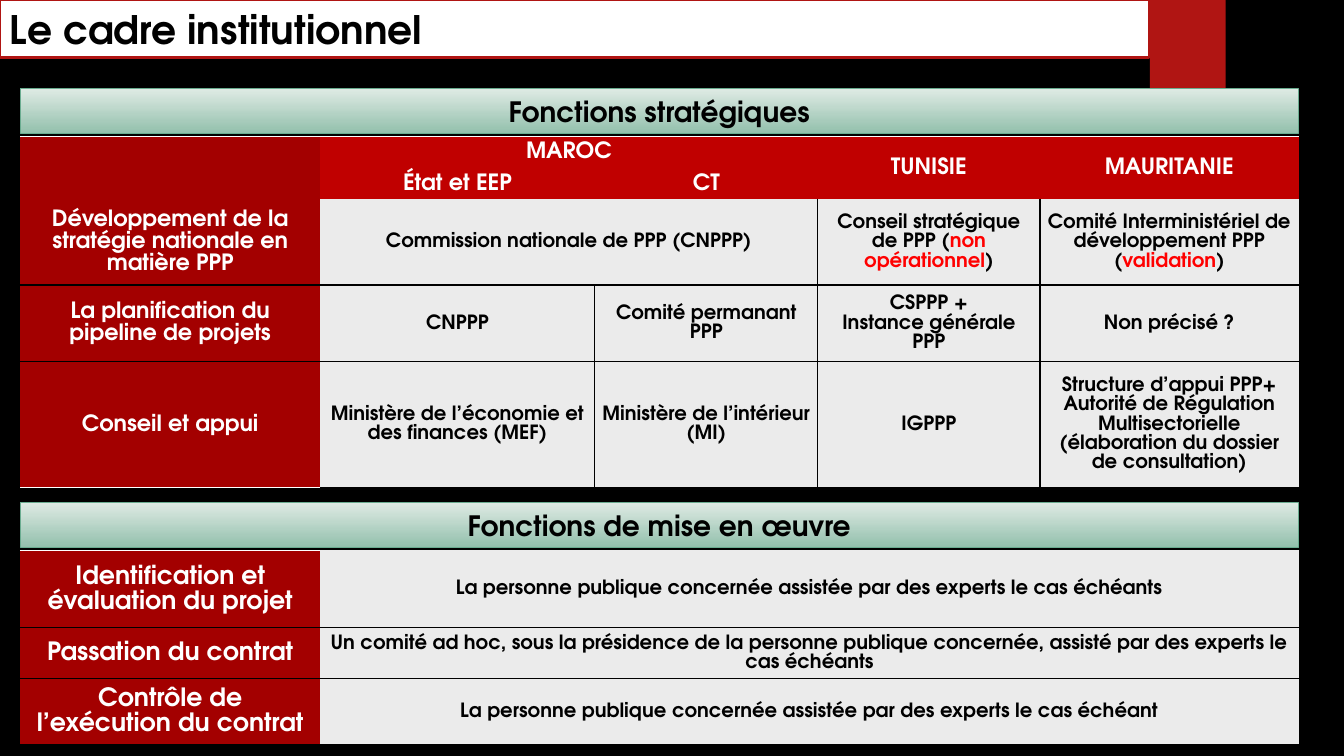
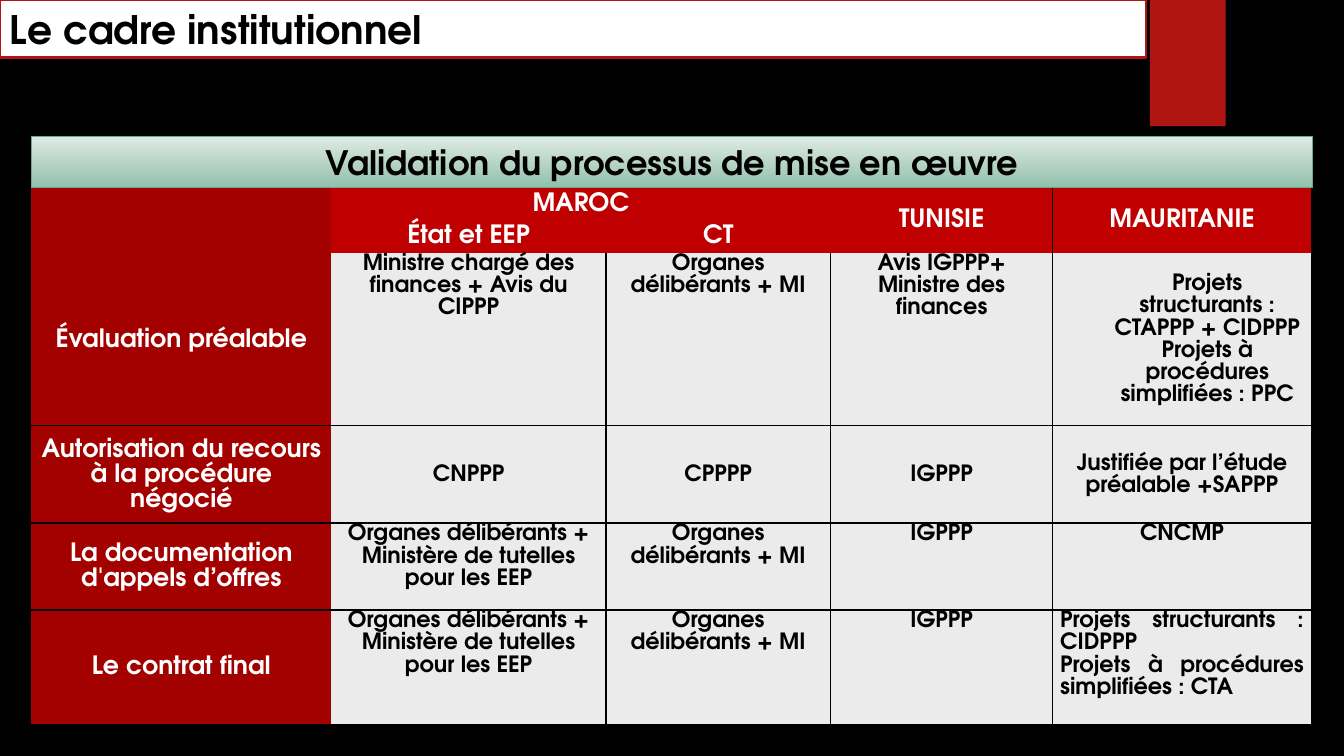
from lxml import etree
from pptx import Presentation
from pptx import util as u
from pptx.dml.color import RGBColor
from pptx.enum import shapes, text
from pptx.oxml import ns

BLACK, WHITE, RED = "000000", "FFFFFF", "FF0000"
BAR_RED, LABEL_RED, HEADER_RED, CELL_GREY = "B01513", "A30000", "C00000", "EBEBEB"
BAND_TOP, BAND_BOTTOM, BAND_LINE = "DEEAE4", "93C0AC", "6AAC90"
FONT = "TeX Gyre Adventor"
CENTER, LEFT, JUSTIFY = text.PP_ALIGN.CENTER, text.PP_ALIGN.LEFT, text.PP_ALIGN.JUSTIFY
MIDDLE, TOP = text.MSO_ANCHOR.MIDDLE, text.MSO_ANCHOR.TOP

# Country headings shared by the comparison tables; None marks merged cells
COUNTRY_HEADER = [
    ["", "MAROC", None, "TUNISIE", "MAURITANIE"],
    [None, "État et EEP", "CT", None, None],
]
COUNTRY_MERGES = [(0, 0, 1, 0), (0, 1, 0, 2), (0, 3, 1, 3), (0, 4, 1, 4)]


def color(value):
    return RGBColor.from_string(value)


def write(frame, content, size, fill=BLACK, align=CENTER, spacing=None):
    """Content is a string or a list of (text, colour) runs; newlines split paragraphs."""
    runs = [(content, fill)] if isinstance(content, str) else content
    paragraph = None
    for words, run_fill in runs:
        for number, part in enumerate(words.split("\n")):
            if paragraph is None:
                paragraph = frame.paragraphs[0]
            elif number:
                paragraph = frame.add_paragraph()
            paragraph.alignment = align
            if spacing:
                paragraph.line_spacing = spacing
            run = paragraph.add_run()
            run.text = part
            run.font.name, run.font.size, run.font.bold = FONT, u.Pt(size), True
            run.font.color.rgb = color(run_fill)


def set_border(cell, side, line_color):
    properties = cell._tc.get_or_add_tcPr()
    line = etree.SubElement(properties, ns.qn(f"a:ln{side}"), w=str(u.Pt(1)))
    if line_color is None:
        etree.SubElement(line, ns.qn("a:noFill"))
    else:
        fill = etree.SubElement(line, ns.qn("a:solidFill"))
        etree.SubElement(fill, ns.qn("a:srgbClr"), val=line_color)


class Deck:
    def __init__(self):
        self.presentation = Presentation()
        self.presentation.slide_width = u.Cm(33.87)
        self.presentation.slide_height = u.Cm(19.05)
        self.slide = None

    def new_slide(self, title, title_width):
        self.slide = self.presentation.slides.add_slide(self.presentation.slide_layouts[6])
        background = self.slide.background.fill
        background.solid()
        background.fore_color.rgb = color(BLACK)
        self.box(28.98, 0, 1.91, 3.18, BAR_RED)
        title_box = self.box(0, 0, title_width, 1.45, WHITE, BAR_RED, 1.5)
        write(title_box.text_frame, title, 28, align=LEFT)

    def box(self, left, top, width, height, fill, line=None, line_width=1):
        shape = self.slide.shapes.add_shape(
            shapes.MSO_SHAPE.RECTANGLE, u.Cm(left), u.Cm(top), u.Cm(width), u.Cm(height))
        shape.shadow.inherit = False
        shape.fill.solid()
        shape.fill.fore_color.rgb = color(fill)
        if line:
            shape.line.color.rgb = color(line)
            shape.line.width = u.Pt(line_width)
        else:
            shape.line.fill.background()
        shape.text_frame.word_wrap = True
        shape.text_frame.vertical_anchor = MIDDLE
        return shape

    def band(self, left, top, width, height, title, size):
        shape = self.box(left, top, width, height, BAND_TOP, BAND_LINE, 0.75)
        shape.fill.gradient()
        shape.fill.gradient_angle = 270
        for stop, value in zip(shape.fill.gradient_stops, (BAND_TOP, BAND_BOTTOM)):
            stop.color.rgb = color(value)
        write(shape.text_frame, title, size)

    def table(self, left, top, columns, heights, rows, label_size, body_size,
              headers=0, merges=(), header_rules=(), top_rows=(), label_bottom=None):
        table = self.slide.shapes.add_table(
            len(rows), len(columns), u.Cm(left), u.Cm(top),
            u.Cm(sum(columns)), u.Cm(sum(heights))).table
        table.first_row = table.horz_banding = False
        for column, width in zip(table.columns, columns):
            column.width = u.Cm(width)
        for row, height in zip(table.rows, heights):
            row.height = u.Cm(height)
        for row, column, last_row, last_column in merges:
            table.cell(row, column).merge(table.cell(last_row, last_column))

        def across(row, column):
            if row == 0:
                return WHITE if headers or column == 0 else None
            if row == len(rows):
                return label_bottom if column == 0 else None
            return BLACK if row > headers else None

        def down(row, column):
            if row < headers:
                return BLACK if (row, column) in header_rules else None
            inner = 1 < column < len(columns)
            return BLACK if inner and not table.cell(row, column).is_spanned else None

        for r, row in enumerate(rows):
            for c, content in enumerate(row):
                cell = table.cell(r, c)
                wide = cell.span_width if cell.is_merge_origin else 1
                tall = cell.span_height if cell.is_merge_origin else 1
                cell.margin_left = cell.margin_right = u.Cm(0.19)
                cell.margin_top = cell.margin_bottom = 0
                cell.vertical_anchor = TOP if c and r in top_rows else MIDDLE
                set_border(cell, "L", down(r, c))
                set_border(cell, "R", down(r, c + wide))
                set_border(cell, "T", across(r, c))
                set_border(cell, "B", across(r + tall, c))
                heading = c == 0 or r < headers
                fill = LABEL_RED if c == 0 else HEADER_RED if heading else CELL_GREY
                cell.fill.solid()
                cell.fill.fore_color.rgb = color(fill)
                if content:
                    write(cell.text_frame, content, label_size if heading else body_size,
                          fill=WHITE if heading else BLACK, spacing=1.07)
        return table


def strategy_slide(deck):
    left, width = 0.51, 32.21
    deck.new_slide("Le cadre institutionnel", 28.96)

    # Strategic functions
    deck.table(
        left, 3.43, [7.56, 6.92, 5.62, 5.6, 6.52], [0.79, 0.79, 2.17, 1.92, 3.18],
        COUNTRY_HEADER + [
            ["Développement de la stratégie nationale en matière PPP",
             "Commission nationale de PPP (CNPPP)", None,
             [("Conseil stratégique de PPP (", BLACK), ("non opérationnel", RED), (")", BLACK)],
             [("Comité Interministériel de développement PPP (", BLACK),
              ("validation", RED), (")", BLACK)]],
            ["La planification du pipeline de projets", "CNPPP", "Comité permanant PPP",
             "CSPPP +\nInstance générale PPP", "Non précisé ?"],
            ["Conseil et appui", "Ministère de l’économie et des finances (MEF)",
             "Ministère de l’intérieur (MI)", "IGPPP",
             "Structure d’appui PPP+ Autorité de Régulation Multisectorielle "
             "(élaboration du dossier de consultation)"],
        ],
        16, 14, headers=2, merges=COUNTRY_MERGES + [(2, 1, 2, 2)], label_bottom=WHITE)

    # Implementation functions
    deck.table(
        left, 13.87, [7.56, 24.66], [1.94, 1.29, 1.64],
        [
            ["Identification et évaluation du projet",
             "La personne publique concernée assistée par des experts le cas échéants"],
            ["Passation du contrat",
             "Un comité ad hoc, sous la présidence de la personne publique concernée, "
             "assisté par des experts le cas échéants"],
            ["Contrôle de l’exécution du contrat",
             "La personne publique concernée assistée par des experts le cas échéant"],
        ],
        18, 14)

    # Section bands
    for top, title in ((12.67, "Fonctions de mise en œuvre"), (2.24, "Fonctions stratégiques")):
        deck.band(left, top, width, 1.12, title, 20)


def validation_slide(deck):
    left, width = 0.79, 32.28
    deck.new_slide("Le cadre institutionnel", 28.88)

    # Validation by country
    councils = "Organes délibérants + MI"
    ministries = "Organes délibérants + Ministère de tutelles pour les EEP"
    table = deck.table(
        left, 4.72, [7.56, 6.92, 5.66, 5.6, 6.52], [0.81, 0.84, 4.36, 2.45, 2.19, 2.87],
        COUNTRY_HEADER + [
            ["Évaluation préalable", "Ministre chargé des finances + Avis du CIPPP", councils,
             "Avis IGPPP+ Ministre des finances",
             "Projets structurants : CTAPPP + CIDPPP Projets à procédures simplifiées : PPC"],
            ["Autorisation du recours à la procédure négocié", "CNPPP", "CPPPP", "IGPPP",
             "Justifiée par l’étude préalable +SAPPP"],
            ["La documentation d'appels d’offres", ministries, councils, "IGPPP", "CNCMP"],
            ["Le contrat final", ministries, councils, "IGPPP",
             "Projets structurants : CIDPPP\nProjets à procédures simplifiées : CTA"],
        ],
        18, 16, headers=2, merges=COUNTRY_MERGES,
        header_rules={(0, 4), (1, 4), (1, 3)}, top_rows={2, 4, 5})

    # Cells with their own paragraph layout
    indented = table.cell(2, 4)
    indented.vertical_anchor = MIDDLE
    indented.text_frame.paragraphs[0]._p.get_or_add_pPr().set("marL", str(u.Cm(1.27)))
    for paragraph in table.cell(5, 4).text_frame.paragraphs:
        paragraph.alignment = JUSTIFY

    # Section band
    deck.band(left, 3.45, width, 1.27, "Validation du processus de mise en œuvre", 24)


def main():
    deck = Deck()
    strategy_slide(deck)
    validation_slide(deck)
    deck.presentation.save("out.pptx")


if __name__ == "__main__":
    main()
